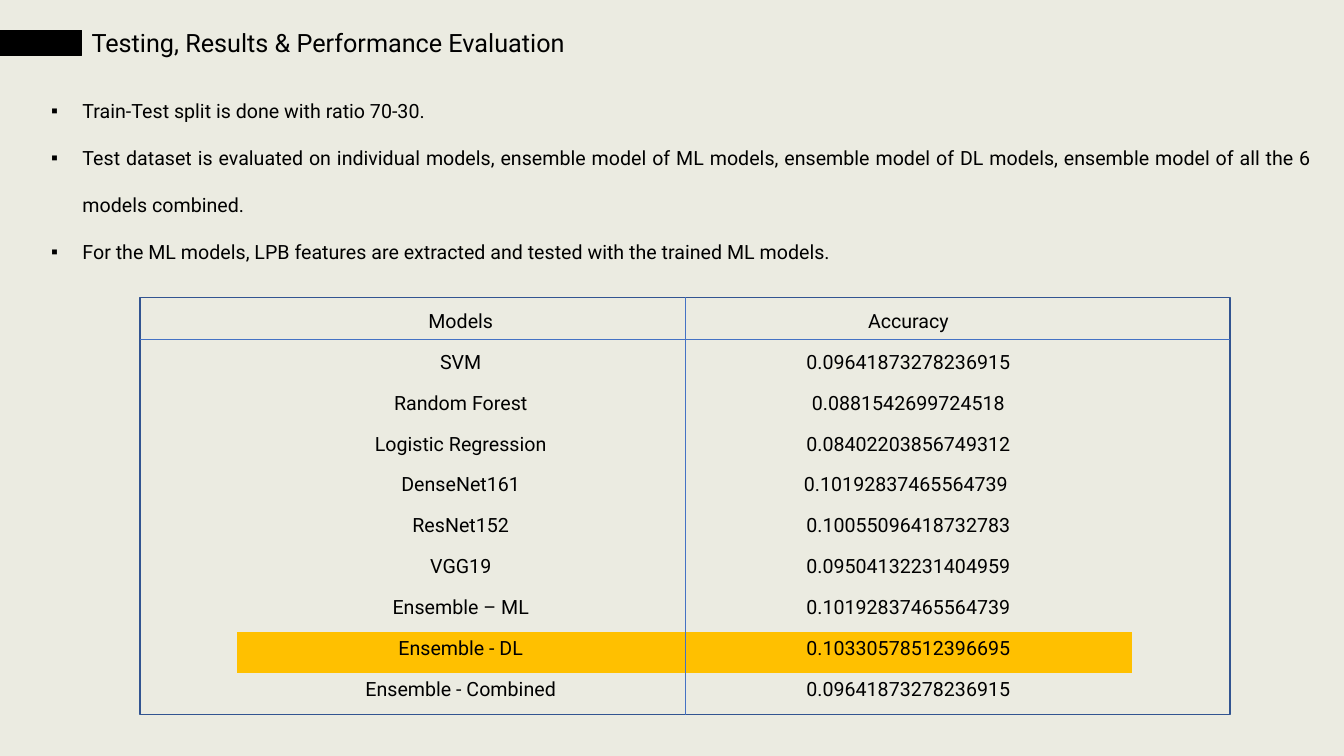
from lxml.etree import SubElement
from pptx import Presentation
from pptx.dml.color import RGBColor
from pptx.enum.shapes import MSO_CONNECTOR, MSO_SHAPE
from pptx.enum.text import MSO_AUTO_SIZE, PP_ALIGN
from pptx.oxml.ns import qn
from pptx.util import Inches, Pt

BACKGROUND = RGBColor(0xEB, 0xEB, 0xE1)
BLACK = RGBColor(0x00, 0x00, 0x00)
AMBER = RGBColor(0xFF, 0xC0, 0x00)
NAVY = RGBColor(0x32, 0x54, 0x91)
BLUE = RGBColor(0x44, 0x72, 0xC4)
PLAIN_TABLE_STYLE = "{2D5ABB26-0587-4C30-8999-92F81FD0307C}"

TITLE = "Testing, Results & Performance Evaluation"
POINTS = [
    "Train-Test split is done with ratio 70-30.",
    "Test dataset is evaluated on individual models, ensemble model of ML models, "
    "ensemble model of DL models, ensemble model of all the 6 models combined.",
    "For the ML models, LPB features are extracted and tested with the trained ML models.",
]
HEADER = [("Models", "Accuracy")]
RESULTS = [
    ("SVM", "0.09641873278236915"),
    ("Random Forest", "0.0881542699724518"),
    ("Logistic Regression", "0.08402203856749312"),
    ("DenseNet161", "0.10192837465564739 "),
    ("ResNet152", "0.10055096418732783"),
    ("VGG19", "0.09504132231404959"),
    ("Ensemble – ML", "0.10192837465564739"),
    ("Ensemble - DL", "0.10330578512396695"),
]
COMBINED = [("Ensemble - Combined", "0.09641873278236915")]
BEST_MODEL = "Ensemble - DL"

TABLE_LEFT, TABLE_TOP = 2.35, 3.03
COLUMN_WIDTH, ROW_HEIGHT = 4.44, 0.405
FRAME_LEFT, FRAME_TOP, FRAME_WIDTH, FRAME_HEIGHT = 1.39, 2.95, 10.81, 4.14
HEADER_RULE = 3.37


class SlideBuilder:
    """Holds the text style and the current slide."""

    def __init__(self, page, font_name="Roboto", body_size=14):
        self.page = page
        self.font_name = font_name
        self.body_size = body_size
        page.background.fill.solid()
        page.background.fill.fore_color.rgb = BACKGROUND

    def style(self, para, size=None):
        para.font.name = self.font_name
        para.font.size = Pt(size or self.body_size)
        para.font.color.rgb = BLACK

    def rectangle(self, left, top, width, height, line, fill=None):
        box = self.page.shapes.add_shape(
            MSO_SHAPE.RECTANGLE, Inches(left), Inches(top), Inches(width), Inches(height))
        box.shadow.inherit = False
        if fill is None:
            box.fill.background()
        else:
            box.fill.solid()
            box.fill.fore_color.rgb = fill
        box.line.color.rgb = line
        box.line.width = Pt(1)
        return box

    def text_frame(self, left, top, width, height, wrap=True):
        box = self.page.shapes.add_textbox(
            Inches(left), Inches(top), Inches(width), Inches(height))
        box.text_frame.word_wrap = wrap
        box.text_frame.auto_size = MSO_AUTO_SIZE.SHAPE_TO_FIT_TEXT
        return box.text_frame

    def title(self, text, left, top, width, height):
        para = self.text_frame(left, top, width, height, wrap=False).paragraphs[0]
        para.text = text
        self.style(para, 18)

    def bullets(self, points, left, top, width, height):
        frame = self.text_frame(left, top, width, height)
        for index, point in enumerate(points):
            para = frame.add_paragraph() if index else frame.paragraphs[0]
            para.text = point
            para.alignment = PP_ALIGN.JUSTIFY
            para.line_spacing = 2.0
            properties = para._p.get_or_add_pPr()
            properties.set("marL", str(Inches(0.31)))
            properties.set("indent", str(Inches(-0.31)))
            SubElement(properties, qn("a:buFont")).set("typeface", "Arial")
            SubElement(properties, qn("a:buChar")).set("char", "▪")
            self.style(para)

    def table(self, rows, top):
        graphic = self.page.shapes.add_table(
            len(rows), 2, Inches(TABLE_LEFT), Inches(top),
            Inches(2 * COLUMN_WIDTH), Inches(ROW_HEIGHT * len(rows)))
        for style_id in graphic.element.iter(qn("a:tableStyleId")):
            style_id.text = PLAIN_TABLE_STYLE
        table = graphic.table
        table.first_row = table.horz_banding = False
        for row, values in zip(table.rows, rows):
            for cell, value in zip(row.cells, values):
                if values[0] == BEST_MODEL:
                    cell.fill.solid()
                    cell.fill.fore_color.rgb = AMBER
                else:
                    cell.fill.background()
                para = cell.text_frame.paragraphs[0]
                para.text = value
                para.alignment = PP_ALIGN.CENTER
                self.style(para)

    def rule(self, start, end):
        line = self.page.shapes.add_connector(
            MSO_CONNECTOR.STRAIGHT, *(Inches(length) for length in start + end))
        line.line.color.rgb = BLUE
        line.line.width = Pt(0.5)
        SubElement(line.element.spPr, qn("a:effectLst"))
        return line


def main():
    deck = Presentation()
    deck.slide_width, deck.slide_height = Inches(13.33), Inches(7.5)
    builder = SlideBuilder(deck.slides.add_slide(deck.slide_layouts[6]))

    # Heading
    builder.rectangle(0, 0.3, 0.81, 0.25, BLACK, BLACK)
    builder.title(TITLE, 0.81, 0.22, 5.56, 0.4)

    # Accuracy tables, stacked without gaps
    top = TABLE_TOP
    for rows in (HEADER, RESULTS, COMBINED):
        builder.table(rows, top)
        top += ROW_HEIGHT * len(rows)

    # Method notes
    builder.bullets(POINTS, 0.41, 0.7, 12.7, 1.91)

    # Frame and dividing lines
    frame = builder.rectangle(FRAME_LEFT, FRAME_TOP, FRAME_WIDTH, FRAME_HEIGHT, NAVY)
    right, bottom = FRAME_LEFT + FRAME_WIDTH, FRAME_TOP + FRAME_HEIGHT
    middle = FRAME_LEFT + FRAME_WIDTH / 2
    builder.rule((FRAME_LEFT, HEADER_RULE), (right, HEADER_RULE))
    divider = builder.rule((middle, FRAME_TOP), (middle, bottom))
    divider.begin_connect(frame, 0)
    divider.end_connect(frame, 2)

    deck.save("out.pptx")


if __name__ == "__main__":
    main()
